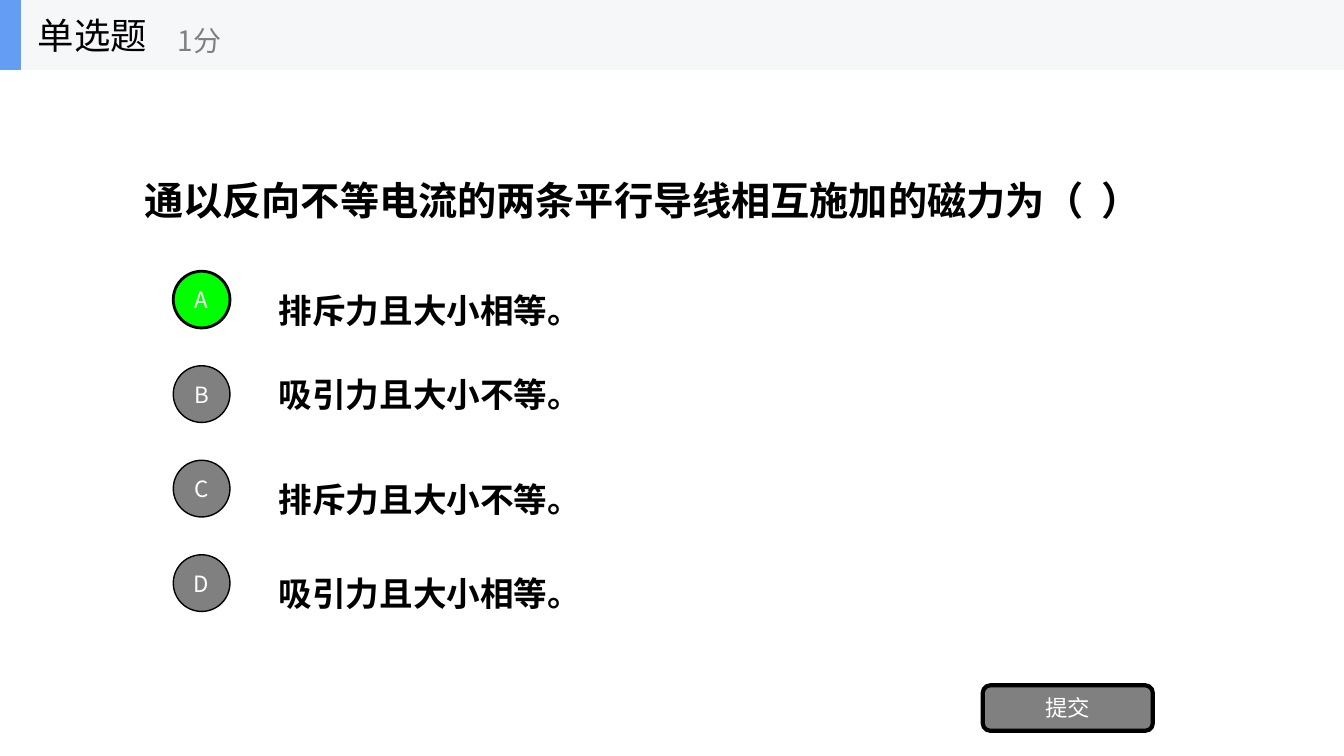
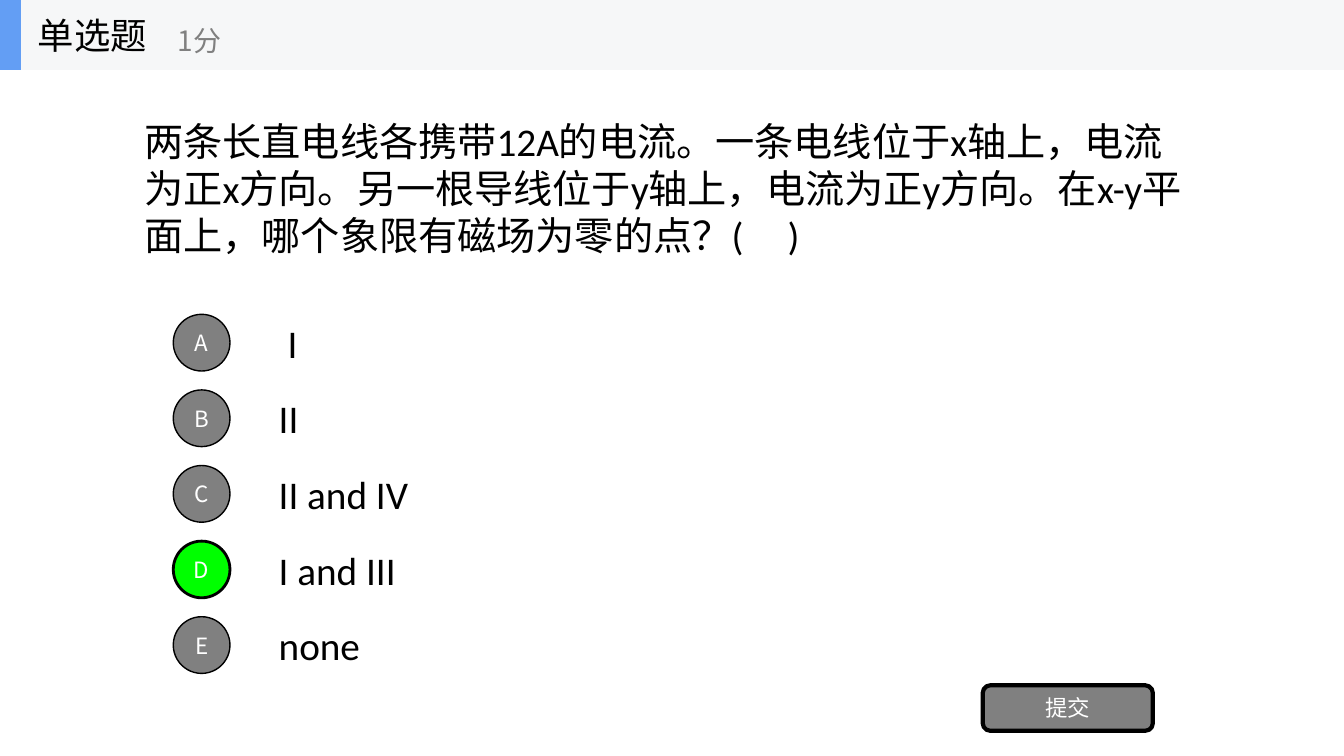
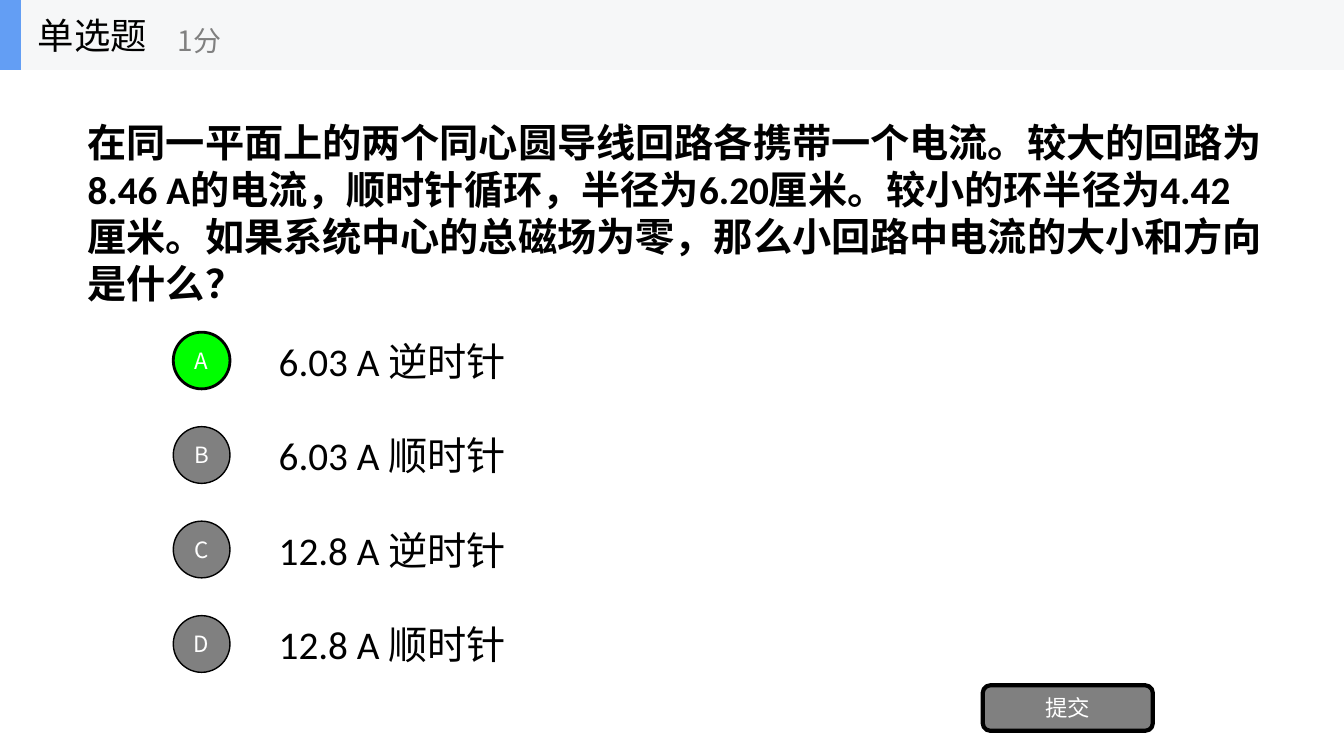
"""Build three single-choice quiz slides on magnetic fields."""
import lxml.etree
import pptx
import pptx.dml.color
import pptx.enum.lang
import pptx.enum.shapes
import pptx.enum.text
import pptx.oxml.ns
import pptx.util

Pt = pptx.util.Pt
RGBColor = pptx.dml.color.RGBColor
SHAPE = pptx.enum.shapes.MSO_SHAPE
ALIGN = pptx.enum.text.PP_ALIGN

BLACK = RGBColor(0x00, 0x00, 0x00)
WHITE = RGBColor(0xFF, 0xFF, 0xFF)
GRAY = RGBColor(0x80, 0x80, 0x80)
GREEN = RGBColor(0x00, 0xFF, 0x00)
BAND = RGBColor(0xF6, 0xF7, 0xF8)
ACCENT = RGBColor(0x63, 0x9E, 0xF4)
BODY_FONT = "Calibri"
LABEL_FONT = "Noto Sans CJK SC"

PAGE_WIDTH, PAGE_HEIGHT = 960, 540
HEADER_HEIGHT = 50
BADGE_SIZE = 40.5
OPTION_HEIGHT = 50.5


def write(box, text, *, size, font=BODY_FONT, color=BLACK, bold=False,
          align=ALIGN.LEFT, spacing=None):
    """Fill a box with one vertically centred paragraph."""
    frame = box.text_frame
    frame.word_wrap = True
    frame.vertical_anchor = pptx.enum.text.MSO_ANCHOR.MIDDLE
    para = frame.paragraphs[0]
    para.alignment = align
    para.line_spacing = spacing
    span = para.add_run()
    span.text = text
    span.font.size = Pt(size)
    span.font.bold = bold
    span.font.color.rgb = color
    span.font.name = font
    span.font.language_id = pptx.enum.lang.MSO_LANGUAGE_ID.SIMPLIFIED_CHINESE
    east_asian = lxml.etree.SubElement(span.font._element, pptx.oxml.ns.qn("a:ea"))
    east_asian.set("typeface", font)


def draw(shapes, kind, left, top, width, height, fill, line_width=0):
    """Add a filled preset shape, outlined in black when a line width is given."""
    shape = shapes.add_shape(kind, Pt(left), Pt(top), Pt(width), Pt(height))
    shape.shadow.inherit = False
    shape.fill.solid()
    shape.fill.fore_color.rgb = fill
    if line_width:
        shape.line.color.rgb = BLACK
        shape.line.width = Pt(line_width)
    else:
        shape.line.fill.background()
    frame = shape.text_frame
    frame.margin_left = frame.margin_right = frame.margin_top = frame.margin_bottom = 0
    return shape


WIDE_QUESTION = (96, 50, 768, 168.5)
questions = [
    dict(
        text="通以反向不等电流的两条平行导线相互施加的磁力为（  ）",
        area=WIDE_QUESTION, bold=True, spacing=1.5,
        options=["排斥力且大小相等。", "吸引力且大小不等。",
                 "排斥力且大小不等。", "吸引力且大小相等。"],
        option_spacings=[1.5, None, 1.5, 1.5],
        option_size=24, option_bold=True, answer="A", top=188.75, pitch=67.5,
    ),
    dict(
        text="两条长直电线各携带12A的电流。一条电线位于x轴上，电流为正x方向。"
             "另一根导线位于y轴上，电流为正y方向。在x-y平面上，"
             "哪个象限有磁场为零的点？(     )",
        area=WIDE_QUESTION, bold=False, spacing=None,
        options=[" I", "II", "II and IV", "I and III", "none"],
        option_spacings=[None] * 5,
        option_size=28, option_bold=False, answer="D", top=219.5, pitch=54,
    ),
    dict(
        text="在同一平面上的两个同心圆导线回路各携带一个电流。较大的回路为8.46 A的电流，"
             "顺时针循环，半径为6.20厘米。较小的环半径为4.42厘米。"
             "如果系统中心的总磁场为零，那么小回路中电流的大小和方向是什么？",
        area=(55.5, 67.5, 855.5, 168.5), bold=True, spacing=None,
        options=["6.03 A 逆时针", "6.03 A 顺时针", "12.8 A 逆时针", "12.8 A 顺时针"],
        option_spacings=[None] * 4,
        option_size=28, option_bold=False, answer="A", top=232.25, pitch=67.5,
    ),
]

deck = pptx.Presentation()
deck.slide_width, deck.slide_height = Pt(PAGE_WIDTH), Pt(PAGE_HEIGHT)

for question in questions:
    page = deck.slides.add_slide(deck.slide_layouts[6])

    box = page.shapes.add_textbox(*map(Pt, question["area"]))
    write(box, question["text"], size=28, bold=question["bold"],
          spacing=question["spacing"])

    rows = zip("ABCDE", question["options"], question["option_spacings"])
    for index, (letter, option, spacing) in enumerate(rows):
        top = question["top"] + index * question["pitch"]
        box = page.shapes.add_textbox(Pt(192), Pt(top), Pt(672), Pt(OPTION_HEIGHT))
        write(box, option, size=question["option_size"],
              bold=question["option_bold"], spacing=spacing)
        correct = letter == question["answer"]
        badge = draw(page.shapes, SHAPE.OVAL, 123.75, top + 5, BADGE_SIZE, BADGE_SIZE,
                     GREEN if correct else GRAY, 2 if correct else 1)
        write(badge, letter, size=16, font=LABEL_FONT, color=WHITE, align=ALIGN.CENTER)

    button = draw(page.shapes, SHAPE.ROUNDED_RECTANGLE, 702, 489.5, 121.5, 32.5, GRAY, 3)
    write(button, "提交", size=16, font=LABEL_FONT, color=WHITE, align=ALIGN.CENTER)

    header = page.shapes.add_group_shape().shapes
    draw(header, SHAPE.RECTANGLE, 0, 0, PAGE_WIDTH, HEADER_HEIGHT, BAND)
    draw(header, SHAPE.RECTANGLE, 0, 0, 15, HEADER_HEIGHT, ACCENT)
    title = header.add_textbox(Pt(20), Pt(0), Pt(150), Pt(HEADER_HEIGHT))
    write(title, "单选题", size=26, font=LABEL_FONT)
    score = header.add_textbox(Pt(120), Pt(8.75), Pt(180), Pt(40))
    write(score, "1分", size=20, font=LABEL_FONT, color=GRAY)

deck.save("out.pptx")
